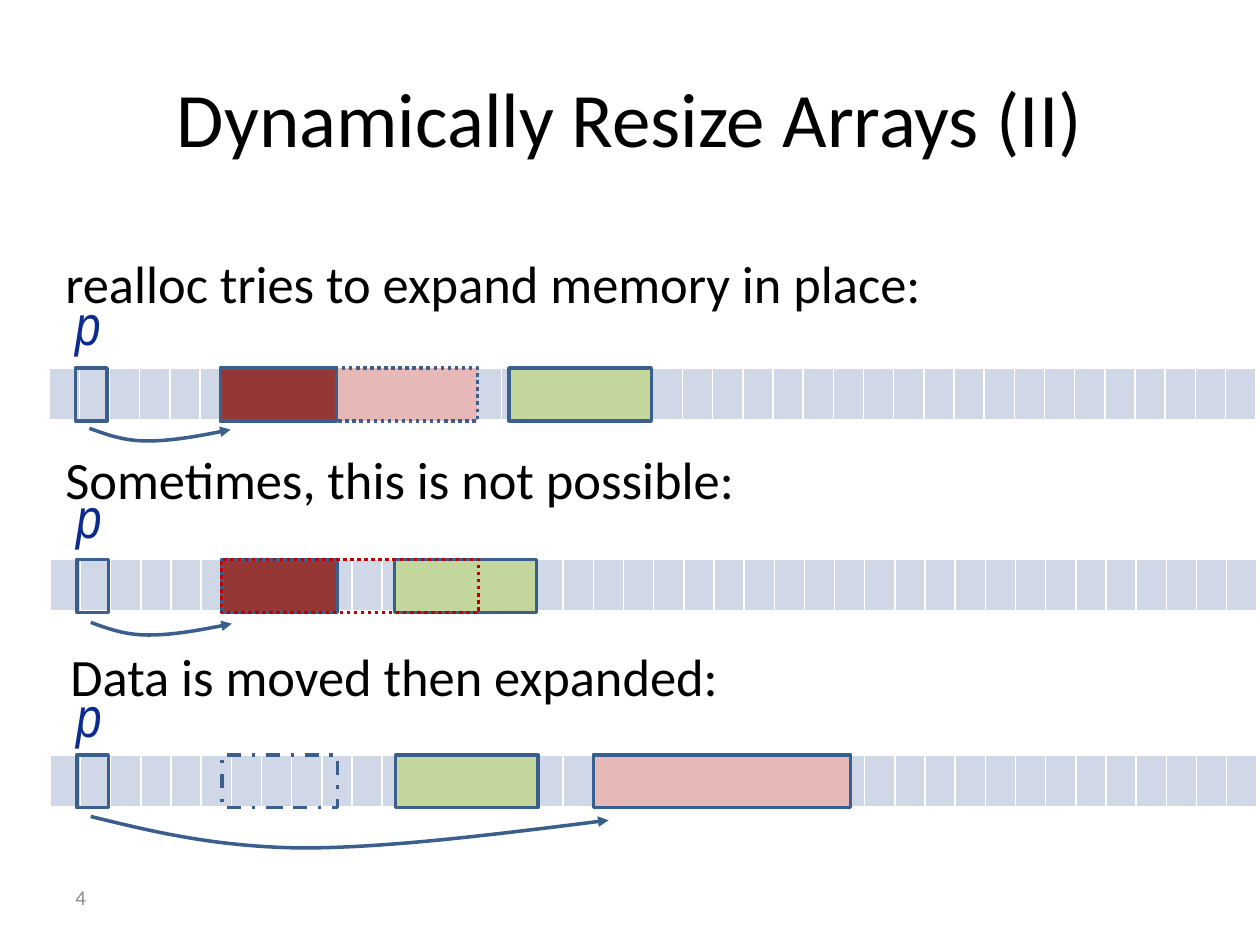
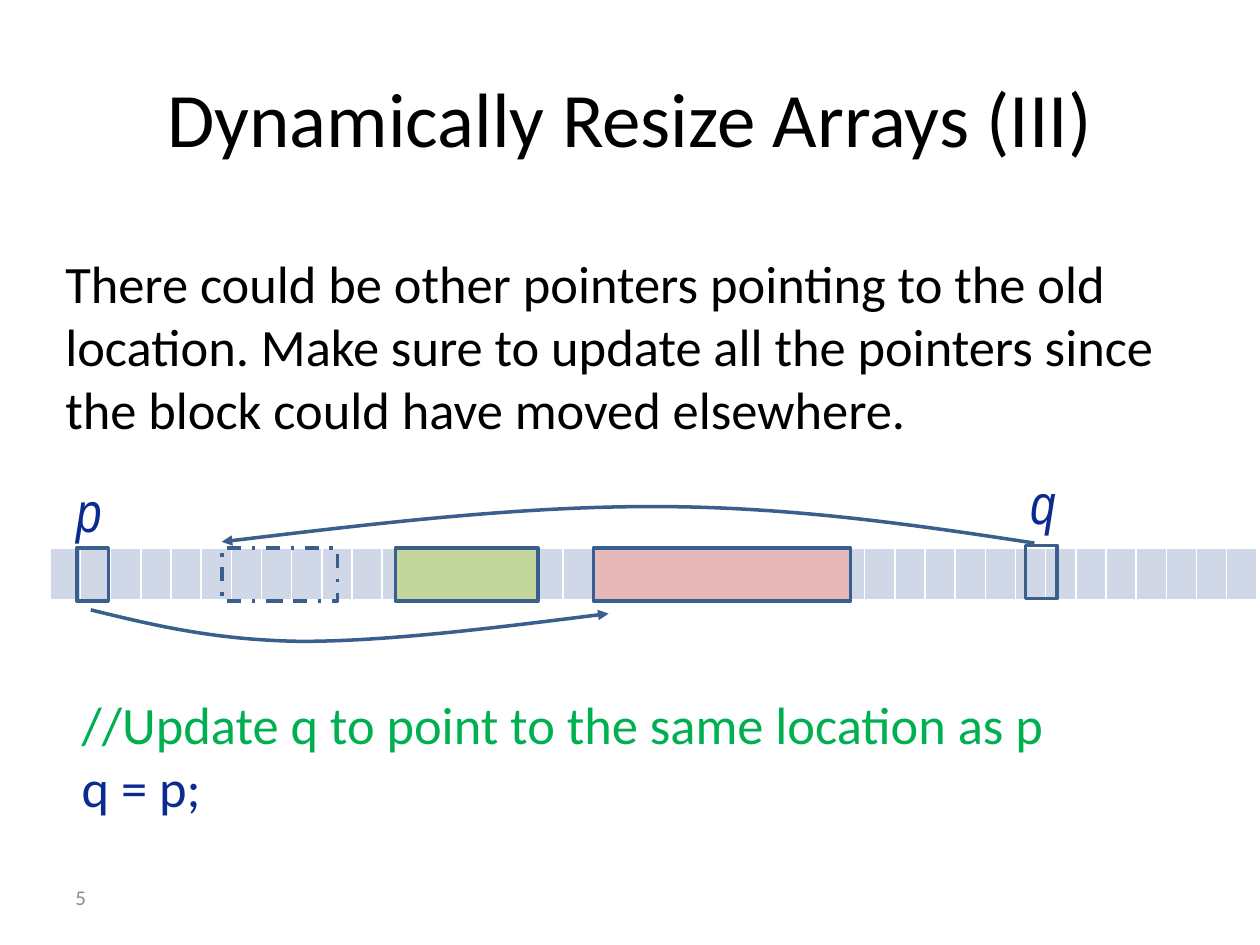
from lxml.etree import SubElement
from pptx import Presentation
from pptx.dml.color import RGBColor
from pptx.enum.dml import MSO_LINE
from pptx.enum.shapes import MSO_SHAPE
from pptx.enum.text import MSO_ANCHOR, MSO_AUTO_SIZE, PP_ALIGN
from pptx.oxml.ns import qn
from pptx.util import Inches, Pt

BLACK, GREY, WHITE = "000000", "8C8C8C", "FFFFFF"
NAVY, CODE_GREEN = "0B2B91", "00B050"
OUTLINE, MOVED_OUTLINE, CONFLICT = "3A5F8C", "376092", "C00000"
CELL, OLD_DATA, EXPANDED, OTHER_DATA = "D0D8E8", "953735", "E6B9B8", "C3D69B"
BODY_FONT, POINTER_FONT = "Calibri", "Arial Narrow"

CELL_COUNT = 40
MEMORY_WIDTH, MEMORY_HEIGHT = 9.11, 0.41
BLOCK_HEIGHT = 0.42
POINTER_WIDTH, OLD_WIDTH, OTHER_WIDTH, EXPANDED_WIDTH = 0.25, 0.92, 1.13, 2.04
POINTER_OFFSET, OLD_OFFSET, MOVED_OFFSET = 0.21, 1.36, 4.31

SHORT_CURVE = [(0, 0), (0.14, 0.05), (0.27, 0.1), (0.46, 0.1),
               (0.64, 0.1), (0.88, 0.06), (1.12, 0.01)]
LONG_CURVE = [(0, 0), (0.49, 0.12), (0.98, 0.24), (1.67, 0.25),
              (2.35, 0.25), (3.23, 0.14), (4.11, 0.03)]
BACK_CURVE = [(0, 0), (-0.98, -0.15), (-1.96, -0.29), (-3.03, -0.29),
              (-4.11, -0.29), (-5.28, -0.15), (-6.45, -0.01)]


def color(hex_value):
    return RGBColor.from_string(hex_value)


def set_font(paragraph, size, hex_value, name=BODY_FONT, italic=None):
    font = paragraph.font
    font.size, font.name, font.italic = Pt(size), name, italic
    font.color.rgb = color(hex_value)


def add_text(slide, left, top, width, height, lines, size,
             name=BODY_FONT, italic=None):
    box = slide.shapes.add_textbox(Inches(left), Inches(top),
                                   Inches(width), Inches(height))
    frame = box.text_frame
    frame.word_wrap = True
    frame.auto_size = MSO_AUTO_SIZE.SHAPE_TO_FIT_TEXT
    for index, (words, hex_value) in enumerate(lines):
        paragraph = frame.add_paragraph() if index else frame.paragraphs[0]
        paragraph.text = words
        set_font(paragraph, size, hex_value, name, italic)
    return box


def add_body(slide, left, top, width, height, words):
    add_text(slide, left, top, width, height, [(words, BLACK)], 30)


def add_slide(deck, heading, number):
    slide = deck.slides.add_slide(deck.slide_layouts[5])
    title = slide.shapes.title
    title.left, title.top = Inches(0.5), Inches(0.3)
    title.width, title.height = Inches(9), Inches(1.25)
    title.text_frame.text = heading
    title.text_frame.vertical_anchor = MSO_ANCHOR.MIDDLE
    paragraph = title.text_frame.paragraphs[0]
    paragraph.alignment = PP_ALIGN.CENTER
    set_font(paragraph, 44, BLACK)
    footer = add_text(slide, 0.5, 6.92, 2.33, 0.4, [(number, GREY)], 12)
    footer.text_frame.auto_size = MSO_AUTO_SIZE.NONE
    footer.text_frame.vertical_anchor = MSO_ANCHOR.MIDDLE
    return slide


def add_cell_borders(cell):
    properties = cell._tc.get_or_add_tcPr()
    for side in ("a:lnL", "a:lnR", "a:lnT", "a:lnB"):
        border = SubElement(properties, qn(side), w=str(Pt(1)))
        fill = SubElement(border, qn("a:solidFill"))
        SubElement(fill, qn("a:srgbClr"), val=WHITE)


def add_memory(slide, left, top):
    memory = slide.shapes.add_table(1, CELL_COUNT, Inches(left), Inches(top),
                                    Inches(MEMORY_WIDTH), Inches(MEMORY_HEIGHT)).table
    memory.first_row = memory.horz_banding = False
    for column in memory.columns:
        column.width = Inches(MEMORY_WIDTH / CELL_COUNT)
    for cell in memory.iter_cells():
        add_cell_borders(cell)
        cell.fill.solid()
        cell.fill.fore_color.rgb = color(CELL)


def add_block(slide, left, top, width, fill=None, line=OUTLINE, dash=None):
    block = slide.shapes.add_shape(MSO_SHAPE.RECTANGLE, Inches(left), Inches(top),
                                   Inches(width), Inches(BLOCK_HEIGHT))
    block.shadow.inherit = False
    if fill:
        block.fill.solid()
        block.fill.fore_color.rgb = color(fill)
    else:
        block.fill.background()
    block.line.color.rgb = color(line)
    block.line.width = Pt(2)
    if dash:
        block.line.dash_style = dash


def add_pointer(slide, name, left, top, label_left, label_top):
    add_text(slide, label_left, label_top, 0.58, 0.64, [(name, NAVY)], 32,
             POINTER_FONT, True)
    add_block(slide, left, top, POINTER_WIDTH)


def add_arrow(slide, left, top, curve):
    points = [(Inches(left + x), Inches(top + y)) for x, y in curve]
    builder = slide.shapes.build_freeform(*points[0])
    builder.add_line_segments(points[1:], close=False)
    arrow = builder.convert_to_shape()
    arrow.shadow.inherit = False
    arrow.fill.background()
    arrow.line.color.rgb = color(OUTLINE)
    arrow.line.width = Pt(2)
    outline = next(arrow._element.iter(qn("a:path")))
    segments = outline.findall(qn("a:lnTo"))
    for first in range(0, len(segments), 3):
        bezier = SubElement(outline, qn("a:cubicBezTo"))
        for segment in segments[first:first + 3]:
            bezier.append(segment[0])
            outline.remove(segment)
    SubElement(arrow.line._get_or_add_ln(), qn("a:tailEnd"), type="triangle")


def add_p_memory(slide, left, top, label_top):
    add_memory(slide, left, top)
    add_pointer(slide, "p", left + POINTER_OFFSET, top, left + 0.11, label_top)


def add_moved_memory(slide, left, top, label_top):
    add_p_memory(slide, left, top, label_top)
    add_block(slide, left + OLD_OFFSET, top, OLD_WIDTH, dash=MSO_LINE.DASH_DOT)
    add_block(slide, left + 2.74, top, OTHER_WIDTH, OTHER_DATA)
    add_block(slide, left + MOVED_OFFSET, top, EXPANDED_WIDTH, EXPANDED, MOVED_OUTLINE)
    add_arrow(slide, left + 0.32, top + 0.49, LONG_CURVE)


def add_expansion_slide(deck):
    slide = add_slide(deck, "Dynamically Resize Arrays (II)", "4")

    left, top = 0.39, 2.92
    add_p_memory(slide, left, top, 2.25)
    add_block(slide, left + OLD_OFFSET, top, EXPANDED_WIDTH, EXPANDED,
              dash=MSO_LINE.ROUND_DOT)
    add_block(slide, left + OLD_OFFSET, top, OLD_WIDTH, OLD_DATA)
    add_block(slide, left + 3.65, top, OTHER_WIDTH, OTHER_DATA)
    add_arrow(slide, left + 0.32, top + 0.48, SHORT_CURVE)

    left, top = 0.4, 4.44
    add_p_memory(slide, left, top, 3.78)
    add_block(slide, left + OLD_OFFSET, top, OLD_WIDTH, OLD_DATA)
    add_block(slide, left + 2.73, top, OTHER_WIDTH, OTHER_DATA)
    add_block(slide, left + OLD_OFFSET, top, EXPANDED_WIDTH, line=CONFLICT,
              dash=MSO_LINE.ROUND_DOT)
    add_arrow(slide, left + 0.32, top + 0.5, SHORT_CURVE)

    add_moved_memory(slide, 0.4, 5.99, 5.36)

    add_body(slide, 0.42, 1.94, 8.17, 0.61, "realloc tries to expand memory in place:")
    add_body(slide, 0.46, 5.06, 6.79, 0.61, "Data is moved then expanded:")
    add_body(slide, 0.42, 3.5, 7.25, 0.61, "Sometimes, this is not possible:")


def add_update_slide(deck):
    slide = add_slide(deck, "Dynamically Resize Arrays (III)", "5")
    add_moved_memory(slide, 0.4, 4.35, 3.73)
    add_body(slide, 0.42, 1.94, 9.33, 1.62,
             "There could be other pointers pointing to the old location. "
             "Make sure to update all the pointers since the block could "
             "have moved elsewhere.")
    add_text(slide, 0.55, 5.44, 8.86, 1.11,
             [("//Update q to point to the same location as p", CODE_GREEN),
              ("q = p;", NAVY)], 30)
    add_pointer(slide, "q", 8.14, 4.33, 8.08, 3.67)
    add_arrow(slide, 8.21, 4.31, BACK_CURVE)


def main():
    deck = Presentation()
    deck.slide_width, deck.slide_height = Inches(10), Inches(7.5)
    add_expansion_slide(deck)
    add_update_slide(deck)
    deck.save("out.pptx")


main()
